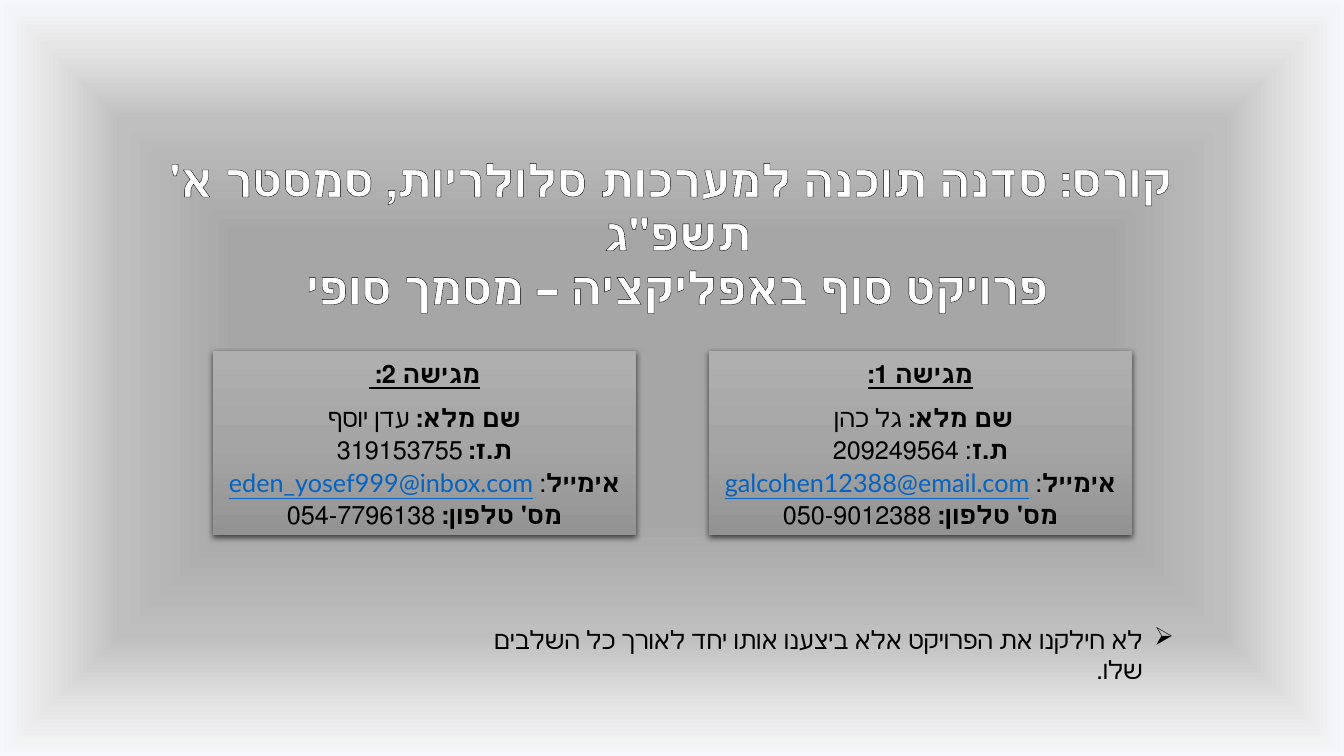
from lxml import etree
from pptx import Presentation
from pptx.dml.color import RGBColor
from pptx.enum import shapes, text
from pptx.oxml import ns, parse_xml
from pptx.util import Cm, Pt

BLACK, WHITE, LINK = "000000", "FFFFFF", "0563C1"


def paint_gradient(properties, stops, direction):
    marks = "".join(
        f'<a:gs pos="{position * 1000}"><a:srgbClr val="{color}"/></a:gs>'
        for position, color in stops
    )
    gradient = parse_xml(
        f'<a:gradFill {ns.nsdecls("a")} rotWithShape="1">'
        f"<a:gsLst>{marks}</a:gsLst>{direction}</a:gradFill>"
    )
    properties.replace(properties.find(ns.qn("a:solidFill")), gradient)


def write(para, wording, size=18, color=BLACK, bold=False, underline=False, font="Calibri"):
    span = para.add_run()
    span.text = wording
    span.font.size = Pt(size)
    span.font.name = font
    span.font.bold = bold
    span.font.underline = underline
    span.font.color.rgb = RGBColor.from_string(color)
    return span


deck = Presentation()
deck.slide_width, deck.slide_height = Cm(33.87), Cm(19.05)
page = deck.slides.add_slide(deck.slide_layouts[6])
page.background.fill.solid()
paint_gradient(
    page.element.find(".//" + ns.qn("p:bgPr")),
    [(37, "A6A6A6"), (68, "BFBFBF"), (88, "E7E6E6"), (100, "F6F8FC")],
    '<a:path path="shape"><a:fillToRect l="50000" t="50000" r="50000" b="50000"/></a:path>',
)

title = page.shapes.add_textbox(Cm(3.58), Cm(3.71), Cm(26.67), Cm(3))
title.text_frame.word_wrap = True
title.text_frame.auto_size = text.MSO_AUTO_SIZE.SHAPE_TO_FIT_TEXT
para = title.text_frame.paragraphs[0]
para.alignment = text.PP_ALIGN.CENTER
para._p.get_or_add_pPr().set("rtl", "1")
title_lines = [
    "קורס: סדנה תוכנה למערכות סלולריות, סמסטר א' תשפ\"ג ",
    "פרויקט סוף באפליקציה – מסמך סופי ",
]
for index, line in enumerate(title_lines):
    if index:
        para.add_line_break()
    span = write(para, line, size=32, color=WHITE, bold=True)
    outline = parse_xml(
        f'<a:ln {ns.nsdecls("a")} w="6350"><a:solidFill>'
        f'<a:srgbClr val="{BLACK}"/></a:solidFill></a:ln>'
    )
    span.font._element.insert(0, outline)

students = [
    (17.86, "מגישה 1:", "גל כהן ", "ת.ז", ": 209249564", "galcohen12388@email.com", "050-9012388"),
    (5.36, "מגישה 2: ", "עדן יוסף", "ת.ז:", " 319153755", "eden_yosef999@inbox.com", "054-7796138"),
]
for left, heading, name, id_label, id_number, email, phone in students:
    card = page.shapes.add_shape(
        shapes.MSO_SHAPE.RECTANGLE, Cm(left), Cm(8.84), Cm(10.67), Cm(4.65)
    )
    card.fill.solid()
    card.line.fill.background()
    card.shadow.inherit = False
    properties = card._element.spPr
    paint_gradient(
        properties,
        [(0, "AFAFAF"), (50, "A5A5A5"), (100, "939393")],
        '<a:lin ang="5400000" scaled="0"/>',
    )
    shadow = parse_xml(
        f'<a:outerShdw {ns.nsdecls("a")} blurRad="57150" dist="19050" dir="5400000" '
        f'algn="ctr" rotWithShape="0"><a:srgbClr val="{BLACK}">'
        '<a:alpha val="63000"/></a:srgbClr></a:outerShdw>'
    )
    properties.find(ns.qn("a:effectLst")).append(shadow)

    frame = card.text_frame
    frame.word_wrap = True
    frame.auto_size = text.MSO_AUTO_SIZE.SHAPE_TO_FIT_TEXT
    heading_para, details = frame.paragraphs[0], frame.add_paragraph()
    for para in (heading_para, details):
        para.alignment = text.PP_ALIGN.CENTER
        para.line_spacing = 1.07
        para.space_after = Pt(8)
        para._p.get_or_add_pPr().set("rtl", "1")
    write(heading_para, heading, bold=True, underline=True)

    rows = [
        ("שם מלא: ", name),
        (id_label, id_number),
        ("אימייל", ": "),
        ("מס' טלפון: ", phone),
    ]
    for index, (label, value) in enumerate(rows):
        if index:
            details.add_line_break()
        write(details, label, bold=True)
        write(details, value)
        if label == "אימייל":
            write(details, email, color=LINK, underline=True, font="Lato")

note = page.shapes.add_textbox(Cm(10.92), Cm(15.6), Cm(18.92), Cm(1.02))
note.text_frame.word_wrap = True
note.text_frame.auto_size = text.MSO_AUTO_SIZE.SHAPE_TO_FIT_TEXT
para = note.text_frame.paragraphs[0]
para.alignment = text.PP_ALIGN.RIGHT
settings = para._p.get_or_add_pPr()
settings.set("rtl", "1")
settings.set("marR", "0")
settings.set("marL", str(Cm(0.79)))
settings.set("indent", str(-Cm(0.79)))
etree.SubElement(settings, ns.qn("a:buFont"), typeface="Wingdings")
etree.SubElement(settings, ns.qn("a:buChar"), char="Ø")
write(para, "לא חילקנו את הפרויקט אלא ביצענו אותו יחד לאורך כל השלבים שלו. ")

deck.save("out.pptx")
